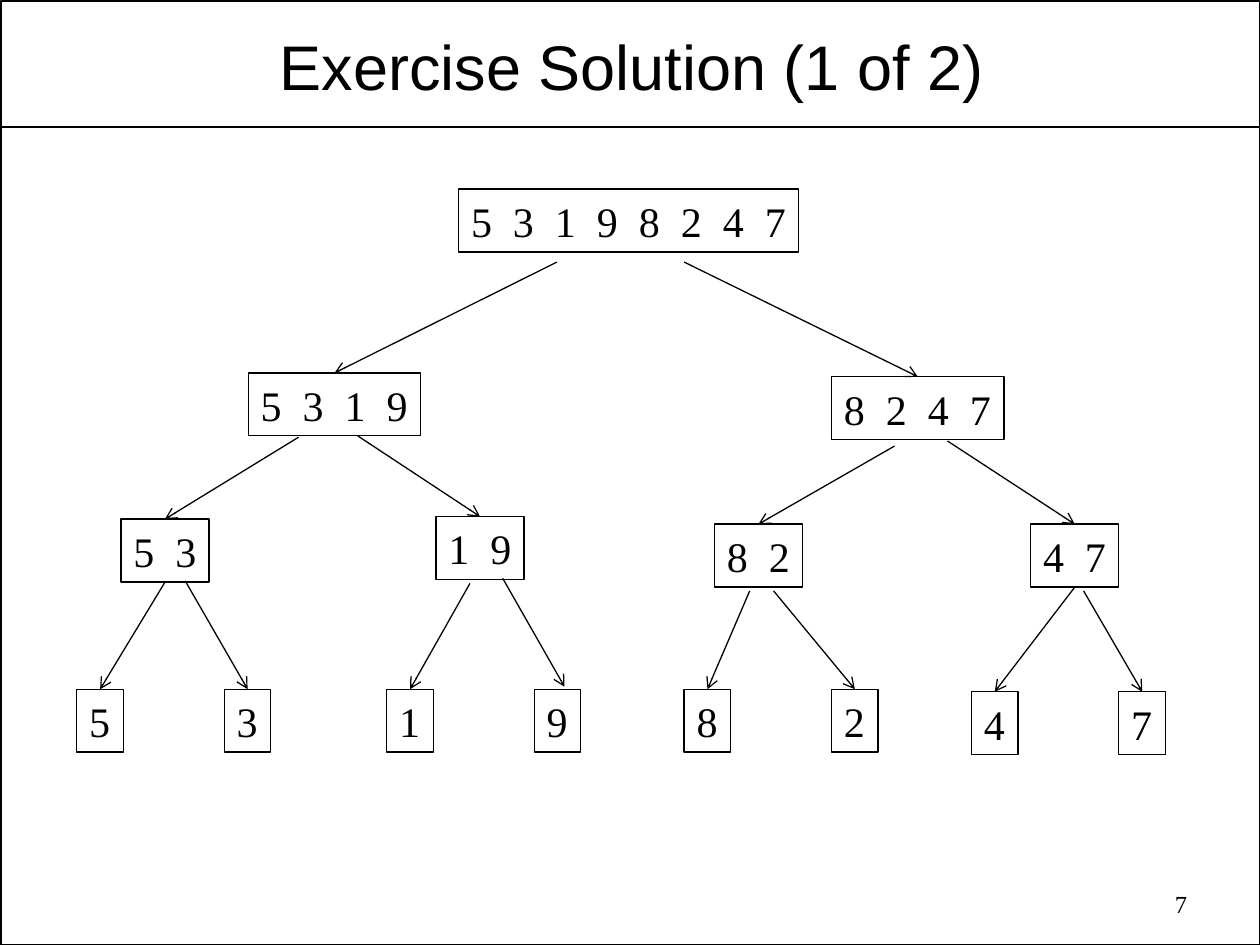
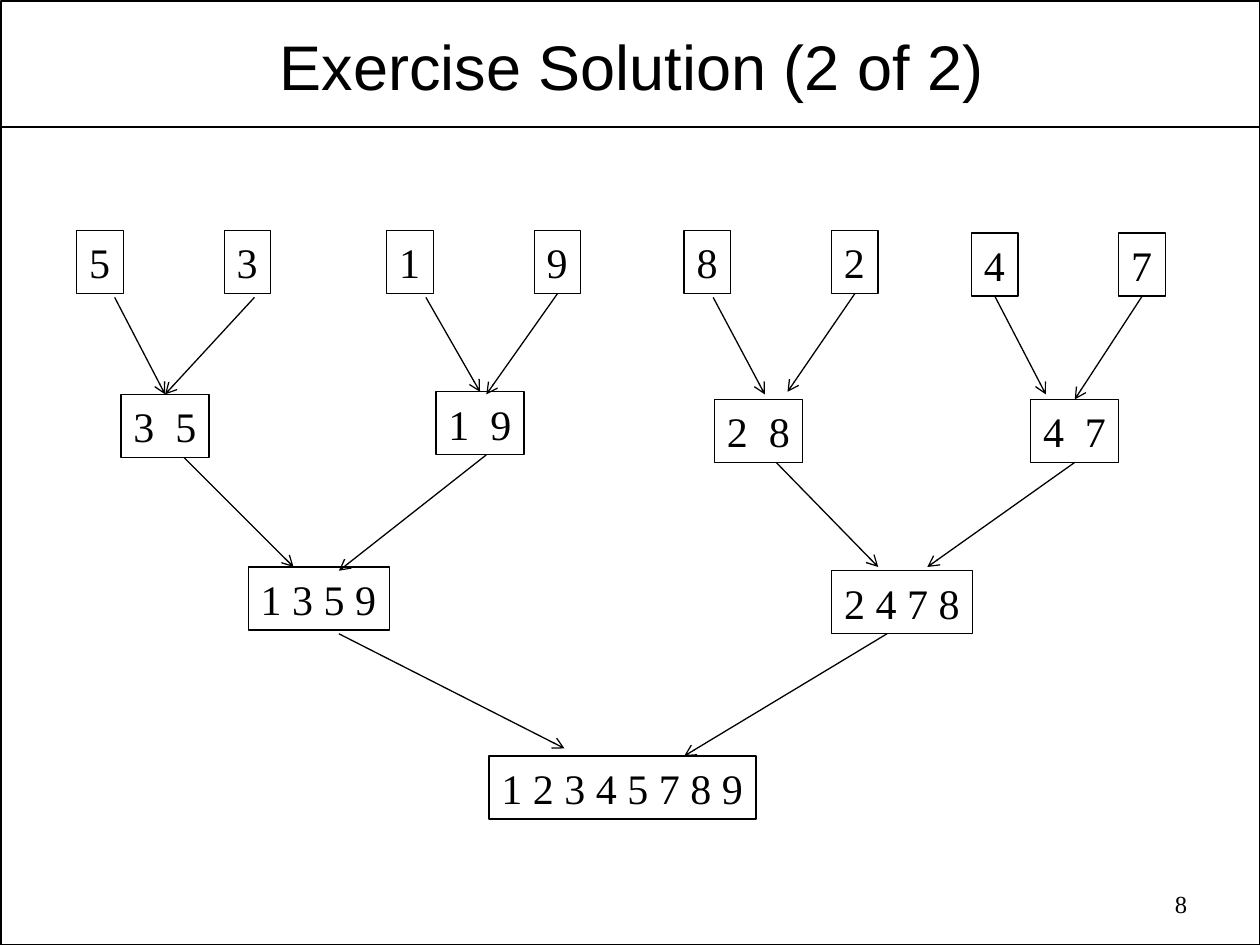
from pptx import Presentation
from pptx.dml.color import RGBColor
from pptx.enum.shapes import MSO_CONNECTOR, MSO_SHAPE
from pptx.enum.text import MSO_ANCHOR, PP_ALIGN
from pptx.oxml.ns import qn
from pptx.util import Inches, Pt
from lxml.etree import SubElement

COLORS = {"ink": "000000"}
TITLE_FONT, BODY_FONT = "Arial", "Times New Roman"
DIGIT_WIDTH, SPACE_WIDTH = 12, 6
BOX_HEIGHT = 0.5
SNAP = 0.02

LEAF_COLUMNS = [(0.61, 0), (1.78, 0), (3.07, 0), (4.24, 0),
                (5.43, 0), (6.6, 0), (7.71, 0.02), (8.88, 0.02)]
PAIR_COLUMNS = [(0.96, 0.02), (3.46, 0), (5.67, 0.06), (8.18, 0.06)]
HALF_COLUMNS = [(1.97, 0), (6.6, 0.03)]
LEAVES = ["5", "3", "1", "9", "8", "2", "4", "7"]

SLIDES = [
    {
        "title": "Exercise Solution (1 of 2)",
        "number": "7",
        "rows": [
            (1.5, [(3.64, 0)], ["5 3 1 9 8 2 4 7"], True),
            (2.96, HALF_COLUMNS, ["5 3 1 9", "8 2 4 7"], True),
            (4.1, PAIR_COLUMNS, ["5 3", "1 9", "8 2", "4 7"], True),
            (5.47, LEAF_COLUMNS, LEAVES, False),
        ],
        "arrows": [
            (4.42, 2.08, 2.65, 2.96), (5.43, 2.08, 7.29, 2.99),
            (2.37, 3.47, 1.31, 4.12), (2.84, 3.46, 3.81, 4.1),
            (7.1, 3.54, 6.02, 4.16), (7.52, 3.5, 8.53, 4.16),
            (1.29, 4.63, 0.79, 5.47), (1.47, 4.61, 1.96, 5.47),
            (3.73, 4.63, 3.25, 5.47), (3.99, 4.59, 4.48, 5.45),
            (5.95, 4.69, 5.61, 5.47), (6.14, 4.69, 6.78, 5.47),
            (8.51, 4.64, 7.9, 5.49), (8.6, 4.69, 9.06, 5.49),
        ],
    },
    {
        "title": "Exercise Solution (2 of 2)",
        "number": "8",
        "rows": [
            (1.83, LEAF_COLUMNS, LEAVES, False),
            (3.11, PAIR_COLUMNS, ["3 5", "1 9", "2 8", "4 7"], True),
            (4.5, HALF_COLUMNS, ["1 3 5 9", "2 4 7 8"], False),
            (6, [(3.88, 0)], ["1 2 3 4 5 7 8 9"], False),
        ],
        "arrows": [
            (0.91, 2.36, 1.31, 3.13), (2.02, 2.36, 1.31, 3.13),
            (3.38, 2.36, 3.79, 3.13), (4.42, 2.34, 3.86, 3.13),
            (5.66, 2.36, 6.07, 3.13), (6.8, 2.32, 6.25, 3.11),
            (7.9, 2.36, 8.3, 3.13), (9.08, 2.37, 8.53, 3.16),
            (1.46, 3.63, 2.33, 4.5), (3.86, 3.61, 2.69, 4.53),
            (6.16, 3.67, 6.97, 4.5), (8.53, 3.67, 7.36, 4.5),
            (2.69, 5.03, 4.48, 5.94), (7.04, 5.03, 5.43, 6),
        ],
    },
]


def color(name):
    return RGBColor.from_string(COLORS[name])


def write(shape, text, size, font, align, margins, anchor=MSO_ANCHOR.TOP):
    frame = shape.text_frame
    frame.word_wrap = True
    frame.vertical_anchor = anchor
    (frame.margin_left, frame.margin_top,
     frame.margin_right, frame.margin_bottom) = map(Inches, margins)
    frame.text = text
    para = frame.paragraphs[0]
    para.alignment = align
    span = para.runs[0]
    span.font.size = Pt(size)
    span.font.name = font
    span.font.color.rgb = color("ink")
    return span


def add_text(page, place, *style):
    write(page.shapes.add_textbox(*map(Inches, place)), *style)


def add_outline(page, place, weight):
    box = page.shapes.add_shape(MSO_SHAPE.RECTANGLE, *map(Inches, place))
    box.shadow.inherit = False
    box.fill.background()
    box.line.color.rgb = color("ink")
    box.line.width = Pt(weight)
    return box


def add_line(page, ends, weight):
    line = page.shapes.add_connector(MSO_CONNECTOR.STRAIGHT, *map(Inches, ends))
    line.line.color.rgb = color("ink")
    line.line.width = Pt(weight)
    SubElement(line._element.spPr, qn("a:effectLst"))
    return line


def add_number_box(page, left, top, text, spread):
    gap = SPACE_WIDTH * (2 if spread else 1)
    steps = text.count(" ")
    width = 0.2 + (DIGIT_WIDTH + steps * (DIGIT_WIDTH + gap)) / 72
    box = add_outline(page, (left, top, round(width, 2), BOX_HEIGHT), 0.75)
    span = write(box, text, 24, BODY_FONT, PP_ALIGN.LEFT,
                 (0.1, 0.05, 0, 0.05), MSO_ANCHOR.MIDDLE)
    if spread and steps:
        span.font._element.set("spc", str(SPACE_WIDTH * 50))
    return box


def join_near(connect, boxes, x, y):
    for box in boxes:
        middle = box.left + box.width / 2
        for site, edge in ((0, box.top), (2, box.top + box.height)):
            if max(abs(middle - Inches(x)), abs(edge - Inches(y))) <= Inches(SNAP):
                connect(box, site)
                return


def add_arrow(page, ends, boxes):
    arrow = add_line(page, ends, 0.75)
    SubElement(arrow.line._get_or_add_ln(), qn("a:tailEnd"), type="arrow")
    join_near(arrow.begin_connect, boxes, *ends[:2])
    join_near(arrow.end_connect, boxes, *ends[2:])


def add_page(deck, content):
    page = deck.slides.add_slide(deck.slide_layouts[6])
    add_outline(page, (0.01, 0.01, 9.99, 7.49), 1)
    add_line(page, (0.01, 1.01, 9.99, 1.01), 1)
    add_text(page, (0.53, 0.19, 8.97, 0.66), content["title"], 36, TITLE_FONT,
             PP_ALIGN.CENTER, (0.07, 0.03, 0.07, 0.03))
    add_text(page, (8.67, 7.01, 0.85, 0.36), content["number"], 14, BODY_FONT,
             PP_ALIGN.RIGHT, (0.1, 0.05, 0.1, 0.05))
    boxes = [add_number_box(page, left, top + drop, text, spread)
             for top, columns, texts, spread in content["rows"]
             for (left, drop), text in zip(columns, texts)]
    for ends in content["arrows"]:
        add_arrow(page, ends, boxes)


def main():
    deck = Presentation()
    deck.slide_width, deck.slide_height = Inches(10), Inches(7.5)
    for content in SLIDES:
        add_page(deck, content)
    deck.save("out.pptx")


if __name__ == "__main__":
    main()
